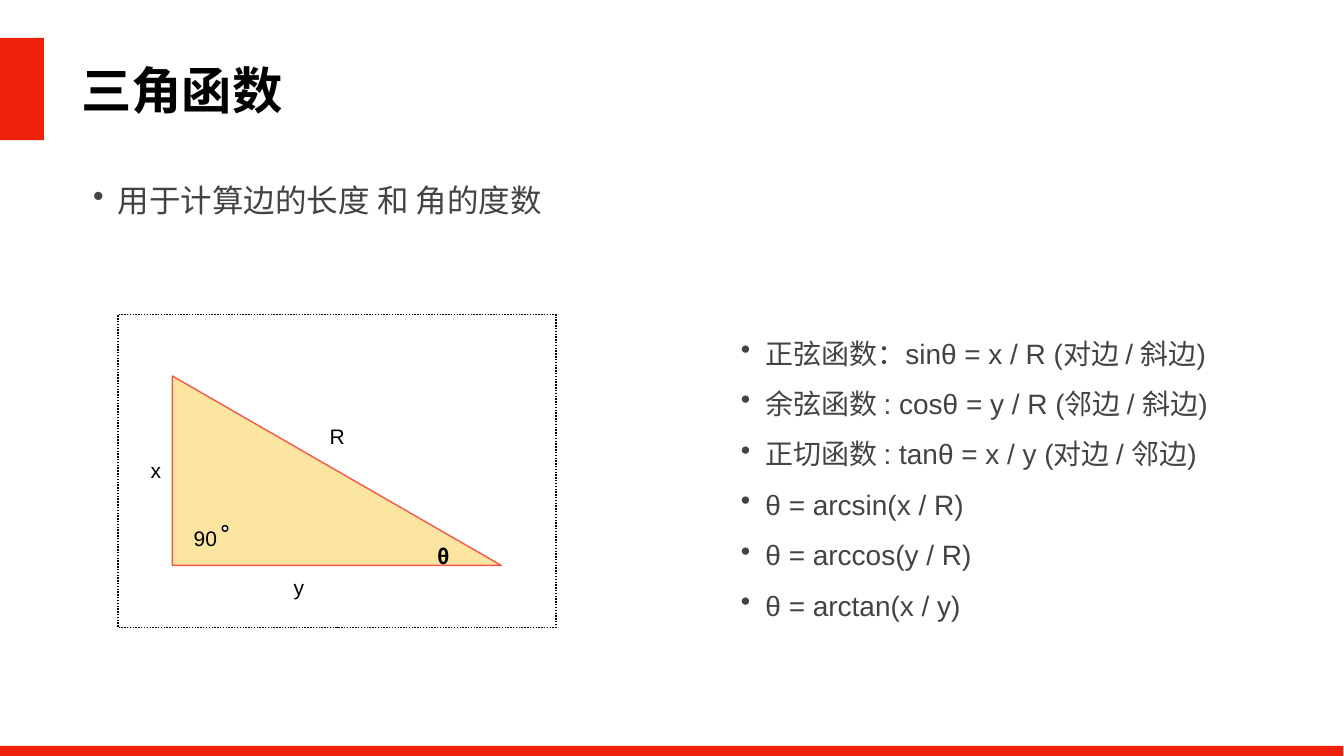
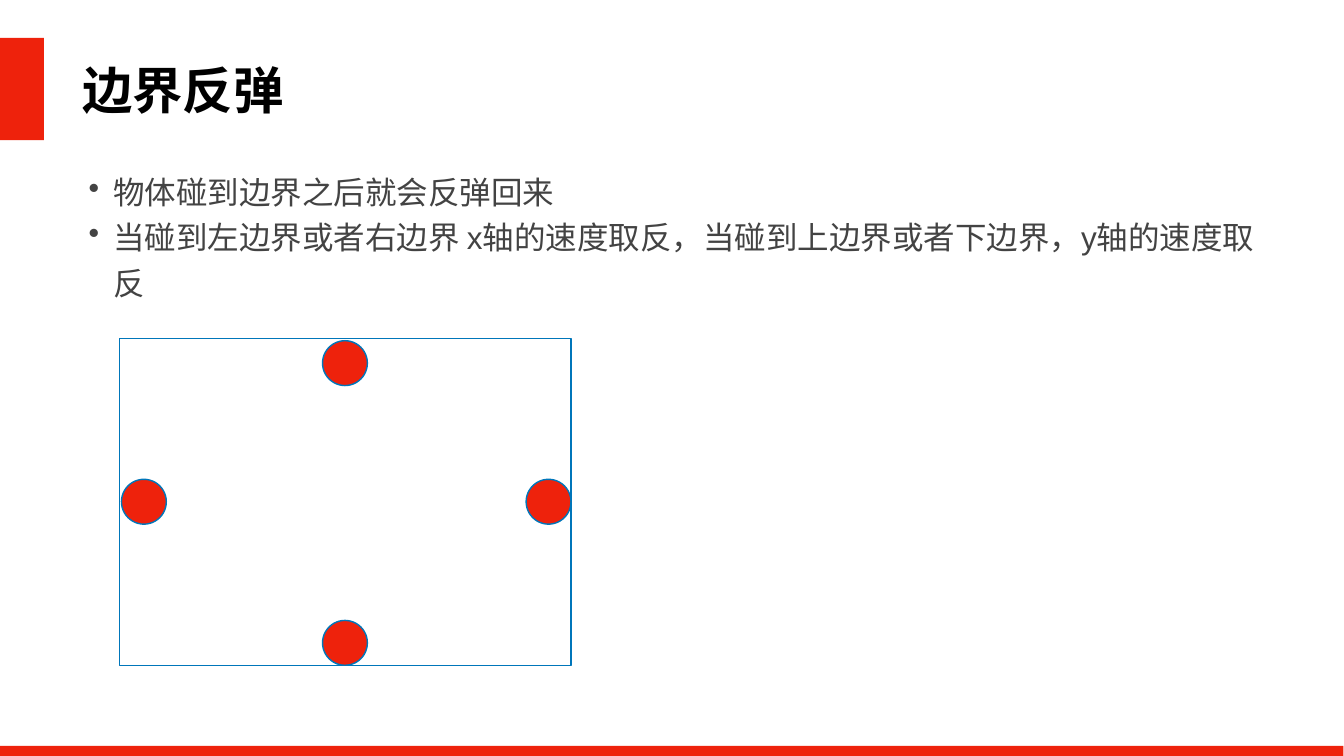
from dataclasses import dataclass

from lxml.etree import SubElement
from pptx import Presentation
from pptx.dml.color import RGBColor
from pptx.enum.dml import MSO_LINE_DASH_STYLE as Dash
from pptx.enum.shapes import MSO_SHAPE as Shape
from pptx.enum.text import MSO_ANCHOR as Anchor, MSO_AUTO_SIZE as AutoSize, PP_ALIGN as Align
from pptx.oxml.ns import qn
from pptx.util import Emu, Pt


@dataclass(frozen=True)
class Theme:
    """Colours, fonts and type sizes shared by the slides."""

    red: str = "EE220C"
    blue: str = "0076BA"
    black: str = "000000"
    white: str = "FFFFFF"
    grey: str = "434343"
    amber: str = "F8BA00"
    coral: str = "F25949"
    font: str = "Arial"
    angle_font: str = "Noto Sans CJK SC"
    title: int = 72
    body: int = 45
    formula: int = 40
    label: int = 30
    angle: int = 29
    line: int = 2


THEME = Theme()
EMU_PER_PX = 9144
WIDTH, HEIGHT = 2667, 1500
INSET = 6
HANGING = 49


def px(length):
    """Turn px (a hundredth of an inch) into EMU."""
    return Emu(round(length * EMU_PER_PX))


def set_frame(frame, wrap=True):
    """Give a text frame the common insets, anchor and fit."""
    frame.word_wrap = wrap
    frame.auto_size = AutoSize.SHAPE_TO_FIT_TEXT
    frame.vertical_anchor = Anchor.MIDDLE
    frame.margin_left = frame.margin_right = px(INSET)
    frame.margin_top = frame.margin_bottom = px(INSET)


def style_runs(paragraph, size, color, bold=False, font=THEME.font):
    """Format every run of a paragraph."""
    for run in paragraph.runs:
        run.font.name = font
        run.font.size = Pt(size)
        run.font.bold = bold
        run.font.color.rgb = RGBColor.from_string(color)


def paint(shape, fill, line=None):
    """Set fill and outline and drop the shadow."""
    shape.shadow.inherit = False
    shape.fill.solid()
    shape.fill.fore_color.rgb = RGBColor.from_string(fill)
    if line:
        shape.line.color.rgb = RGBColor.from_string(line)
        shape.line.width = Pt(THEME.line)
    else:
        shape.line.fill.background()


def add_figure(slide, kind, box, fill, line=None):
    """Add a painted preset shape."""
    figure = slide.shapes.add_shape(kind, *map(px, box))
    paint(figure, fill, line)
    return figure


def add_titled_slide(deck, heading, left):
    """Add a slide with its title and the red bands."""
    slide = deck.slides.add_slide(deck.slide_layouts[5])
    title = slide.shapes.title
    title.left, title.top, title.width, title.height = map(px, (left, 102, 2206, 150))
    title.text_frame.text = heading
    set_frame(title.text_frame)
    paragraph = title.text_frame.paragraphs[0]
    paragraph.alignment = Align.LEFT
    style_runs(paragraph, THEME.title, THEME.black, bold=True)
    for band in ((-5, 75, 92, 203), (0, 1480, 2666, 50)):
        add_figure(slide, Shape.RECTANGLE, band, THEME.red)
    return slide


def add_bullets(slide, box, lines, size, spacing):
    """Add a bulleted list with hanging indents."""
    frame = slide.shapes.add_textbox(*map(px, box)).text_frame
    frame.text = "\n".join(lines)
    set_frame(frame)
    for paragraph in frame.paragraphs:
        properties = paragraph._p.get_or_add_pPr()
        properties.set("marL", str(px(HANGING)))
        properties.set("indent", str(-px(HANGING)))
        SubElement(properties, qn("a:buChar")).set("char", "•")
        paragraph.line_spacing = spacing
        style_runs(paragraph, size, THEME.grey)


def add_label(slide, box, text):
    """Add a centred label of the triangle."""
    frame = slide.shapes.add_textbox(*map(px, box)).text_frame
    frame.text = text
    set_frame(frame, wrap=False)
    frame.paragraphs[0].alignment = Align.CENTER
    style_runs(frame.paragraphs[0], THEME.label, THEME.black)


def add_angle(slide, box):
    """Add the bold theta in the triangle's sharp corner."""
    frame = slide.shapes.add_textbox(*map(px, box)).text_frame
    frame.text = "θ"
    set_frame(frame, wrap=False)
    theta = frame.paragraphs[0]
    theta.line_spacing = Pt(50)
    style_runs(theta, THEME.angle, THEME.black, bold=True, font=THEME.angle_font)


def add_triangle(slide, corners, opacity):
    """Add the translucent right triangle."""
    outline = slide.shapes.build_freeform(*corners[0], scale=EMU_PER_PX)
    outline.add_line_segments(corners[1:], close=True)
    triangle = outline.convert_to_shape()
    paint(triangle, THEME.amber, THEME.coral)
    color = triangle._element.spPr.find(qn("a:solidFill")).find(qn("a:srgbClr"))
    SubElement(color, qn("a:alpha")).set("val", str(opacity * 1000))


def build_trigonometry(deck):
    """Build the slide on trigonometric functions."""
    slide = add_titled_slide(deck, "三角函数", 155)
    add_bullets(slide, (179, 339, 2369, 99), ["用于计算边的长度 和 角的度数"], THEME.body, 1.2)
    frame = add_figure(slide, Shape.RECTANGLE, (234, 624, 869, 621), THEME.white, THEME.black)
    frame.line.dash_style = Dash.ROUND_DOT
    add_triangle(slide, [(342, 746), (342, 1122), (995, 1122)], 37)
    add_figure(slide, Shape.OVAL, (441, 1043, 11, 11), THEME.white, THEME.black)
    labels = {
        "90": (378, 1038, 59, 61),
        "y": (576, 1134, 34, 61),
        "R": (648, 835, 42, 61),
        "x": (292, 903, 35, 61),
    }
    for text, box in labels.items():
        add_label(slide, box, text)
    formulas = [
        "正弦函数：sinθ = x / R (对边 / 斜边)",
        "余弦函数 : cosθ = y / R (邻边 / 斜边)",
        "正切函数 : tanθ = x / y (对边 / 邻边)",
        "θ = arcsin(x / R)",
        "θ = arccos(y / R)",
        "θ = arctan(x / y)",
    ]
    add_bullets(slide, (1464, 619, 1170, 629), formulas, THEME.formula, 1.5)
    add_angle(slide, (862, 1068, 39, 51))


def build_bounce(deck):
    """Build the slide on bouncing off the borders."""
    slide = add_titled_slide(deck, "边界反弹", 157)
    rules = [
        "物体碰到边界之后就会反弹回来",
        "当碰到左边界或者右边界 x轴的速度取反，当碰到上边界或者下边界，y轴的速度取反",
    ]
    add_bullets(slide, (170, 308, 2369, 310), rules, THEME.body, 1.2)
    left, top, width, height = field = (237, 672, 896, 648)
    add_figure(slide, Shape.RECTANGLE, field, THEME.white, THEME.blue)
    ball, gap = 89, 4
    middle_x = left + (width - ball) // 2
    middle_y = top + (height - ball) // 2
    spots = [
        (middle_x, top + gap),
        (middle_x, top + height - ball),
        (left + width - ball, middle_y),
        (left + gap, middle_y),
    ]
    for x, y in spots:
        add_figure(slide, Shape.OVAL, (x, y, ball, ball), THEME.red, THEME.blue)


def main():
    """Build and save the deck."""
    deck = Presentation()
    deck.slide_width, deck.slide_height = px(WIDTH), px(HEIGHT)
    build_trigonometry(deck)
    build_bounce(deck)
    deck.save("out.pptx")


if __name__ == "__main__":
    main()
